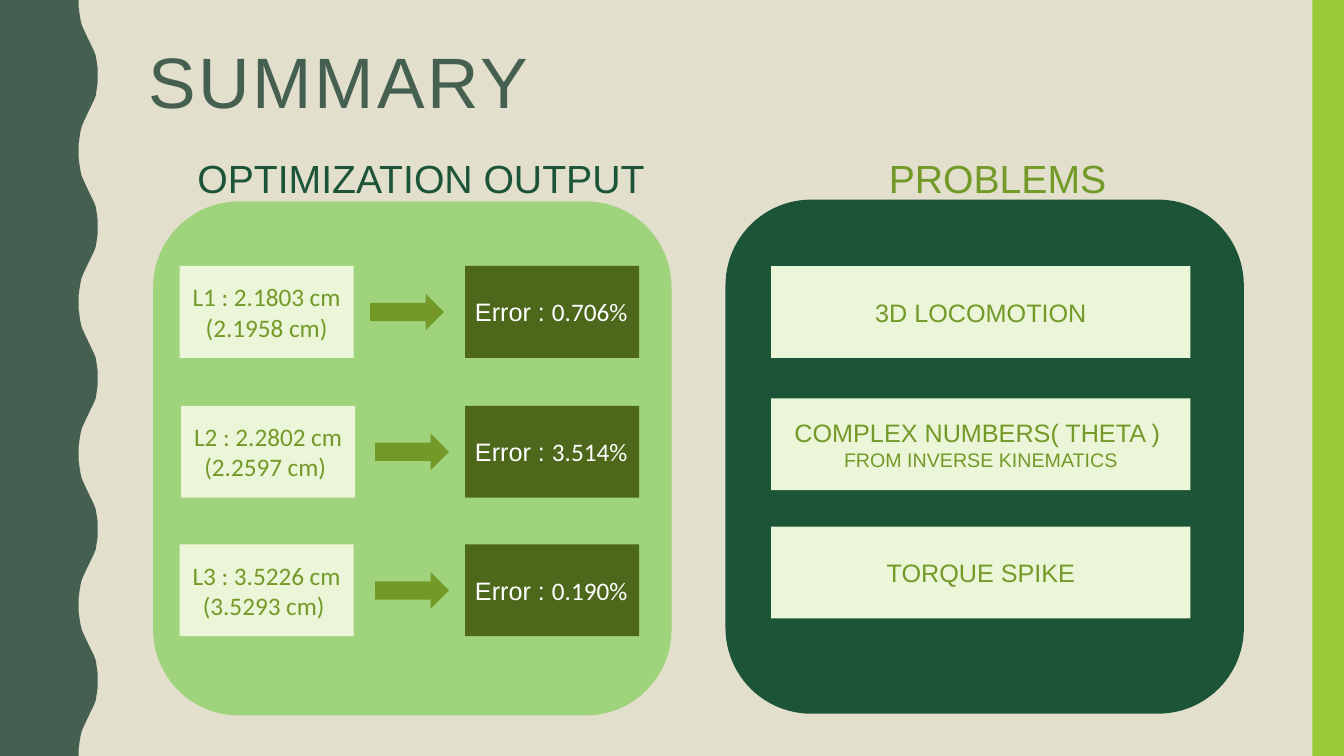
from pptx import Presentation
from pptx.dml.color import RGBColor
from pptx.enum.shapes import MSO_SHAPE as Shape
from pptx.enum.text import MSO_ANCHOR as Anchor, MSO_AUTO_SIZE as AutoSize, PP_ALIGN as Align
from pptx.util import Pt

SLIDE_W, SLIDE_H = 960, 540
FOREST, LIME, SAND = "455F51", "99CB38", "E2DFCC"
LEAF, PINE, PALE = "9FD47D", "1C5438", "EBF5D7"
OLIVE, MOSS, WHITE = "739A28", "4D671B", "FFFFFF"

WAVE_PERIOD, WAVE_COUNT = 108, 5
HALF_WAVE = [(56.2, 0), (56.2, 5), (56.9, 10), (57.6, 14.4), (58.5, 18),
             (59.8, 21), (61.2, 24), (62.6, 27), (64.1, 30), (65.5, 33),
             (67, 36), (68.4, 39.6), (69.1, 44), (69.8, 49), (69.8, 54)]

BOX_H = 65.6
LENGTHS = [
    (46.1, 18.9, 154.9, "L1 : 2.1803 cm", "(2.1958 cm)", "0.706%"),
    (146, 20, 158.5, "L2 : 2.2802 cm", "(2.2597 cm) ", "3.514%"),
    (245, 18.9, 158.5, "L3 : 3.5226 cm", "(3.5293 cm) ", "0.190%"),
]
PROBLEMS = [
    (47.5, [[("3D LOCOMOTION", 18, "Arial")]]),
    (142, [[("COMPLEX NUMBERS( THETA ) ", 18, "Arial")],
           [("FROM INVERSE KINEMATICS", 14, "Arial")]]),
    (233.5, [[("TORQUE SPIKE", 18, "Arial")]]),
]


def rgb(value):
    return RGBColor.from_string(value)


def paint(shape, color):
    shape.shadow.inherit = False
    shape.fill.solid()
    shape.fill.fore_color.rgb = rgb(color)
    shape.line.fill.background()


def add_block(slide, kind, box, color):
    block = slide.shapes.add_shape(kind, *map(Pt, box))
    paint(block, color)
    return block


def write(shape, lines, color, align, anchor):
    frame = shape.text_frame
    for key, value in {"word_wrap": True, "auto_size": AutoSize.NONE,
                       "vertical_anchor": anchor}.items():
        setattr(frame, key, value)
    for index, line in enumerate(lines):
        paragraph = frame.add_paragraph() if index else frame.paragraphs[0]
        paragraph.alignment = align
        for text, size, face in line:
            run = paragraph.add_run()
            run.text = text
            for key, value in {"size": Pt(size), "name": face}.items():
                setattr(run.font, key, value)
            run.font.color.rgb = rgb(color)


def add_card(slide, box, color, lines, text_color, align=Align.CENTER):
    card = add_block(slide, Shape.RECTANGLE, box, color)
    write(card, lines, text_color, align, Anchor.MIDDLE)


def add_heading(slide, box, text, color):
    heading = slide.shapes.add_textbox(*map(Pt, box))
    write(heading, [[(text, 28, "Arial")]], color, Align.LEFT, Anchor.TOP)


def add_edges(slide):
    period = HALF_WAVE + [(x, WAVE_PERIOD - y) for x, y in HALF_WAVE[-2::-1]]
    points = [(x, y + WAVE_PERIOD * n) for n in range(WAVE_COUNT) for x, y in period]
    wave = slide.shapes.build_freeform(0, 0)
    wave.add_line_segments([(Pt(x), Pt(y)) for x, y in points + [(0, SLIDE_H)]])
    paint(wave.convert_to_shape(), FOREST)
    add_block(slide, Shape.RECTANGLE, (937.5, 0, 22.5, SLIDE_H), LIME)


def add_title(slide, box):
    title = slide.shapes.title
    for key, value in zip(("left", "top", "width", "height"), box):
        setattr(title, key, Pt(value))
    write(title, [[("SUMMARY", 51, "Arial")]], FOREST, Align.LEFT, Anchor.TOP)
    paragraph = title.text_frame.paragraphs[0]
    paragraph.line_spacing = 0.9
    paragraph.runs[0].font._element.set("spc", "200")


def add_output_panel(slide, left, top, width, height):
    add_block(slide, Shape.ROUNDED_RECTANGLE, (left, top, width, height), LEAF)
    add_heading(slide, (left + 24.5, top - 37.4, 356, 41), "OPTIMIZATION OUTPUT", PINE)
    for row, length_x, arrow_x, computed, measured, error in LENGTHS:
        y = top + row
        add_card(slide, (left + length_x, y, 124.3, BOX_H), PALE,
                 [[(computed, 18, "Calibri")], [(measured, 18, "Calibri")]], OLIVE)
        add_card(slide, (left + 222.8, y, 124.3, BOX_H), MOSS,
                 [[("Error : ", 18, "Arial"), (error, 18, "Calibri")]], WHITE, Align.LEFT)
        add_block(slide, Shape.RIGHT_ARROW, (left + arrow_x, y + 19.8, 52.8, 26.1), OLIVE)


def add_problem_panel(slide, left, top, width, height):
    add_block(slide, Shape.ROUNDED_RECTANGLE, (left, top, width, height), PINE)
    add_heading(slide, (left + 109.6, top - 36, 289.4, 41), "PROBLEMS", OLIVE)
    for row, lines in PROBLEMS:
        add_card(slide, (left + 32.7, top + row, 299.5, BOX_H), PALE, lines, OLIVE)


def main():
    deck = Presentation()
    deck.slide_width, deck.slide_height = Pt(SLIDE_W), Pt(SLIDE_H)
    slide = deck.slides.add_slide(deck.slide_layouts[5])
    slide.background.fill.solid()
    slide.background.fill.fore_color.rgb = rgb(SAND)
    add_edges(slide)
    add_title(slide, (98.6, 30.2, 801.4, 117.4))
    add_output_panel(slide, 109.4, 143.9, 370.3, 367.2)
    add_problem_panel(slide, 518.2, 142.6, 370.3, 367.2)
    deck.save("out.pptx")


if __name__ == "__main__":
    main()
